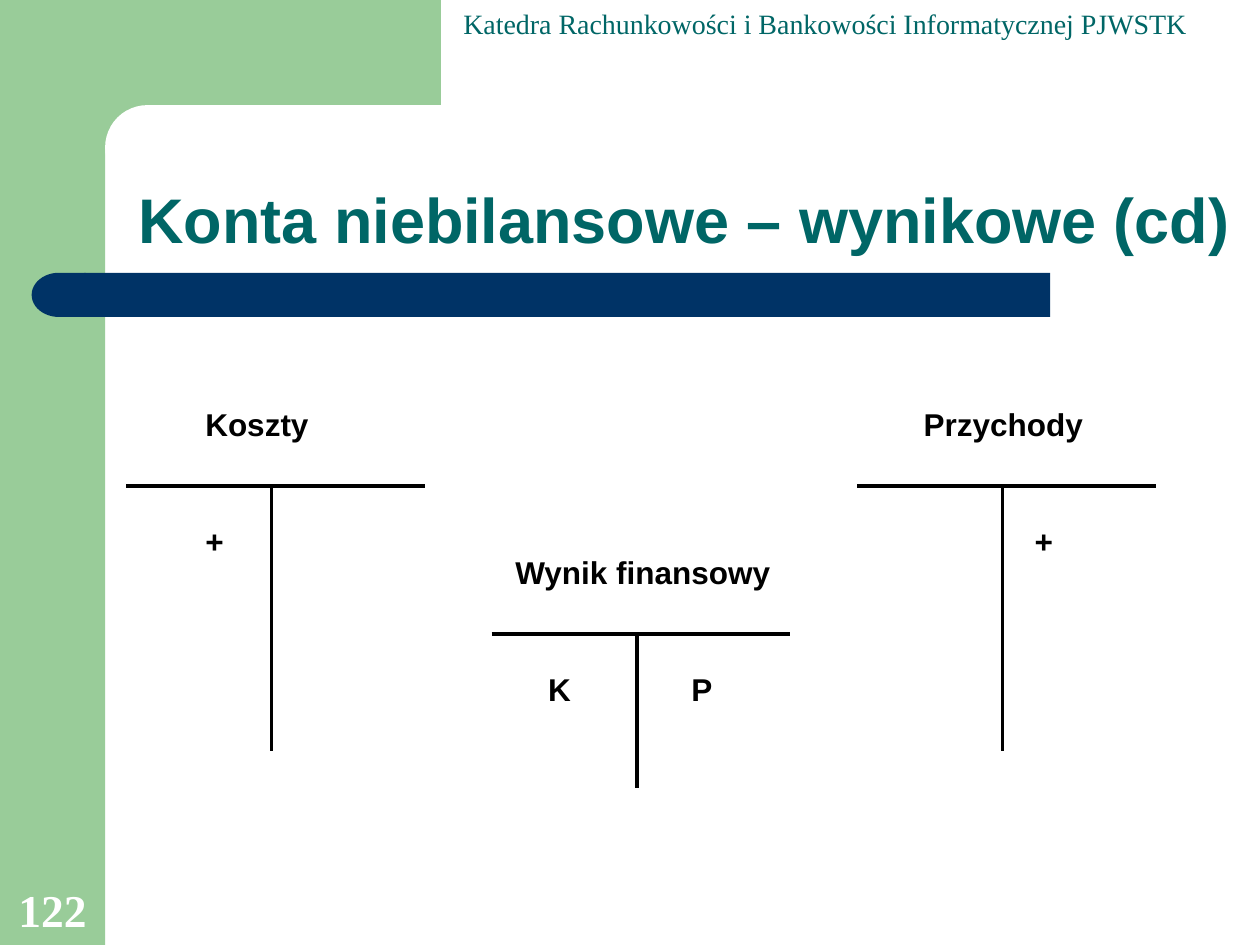
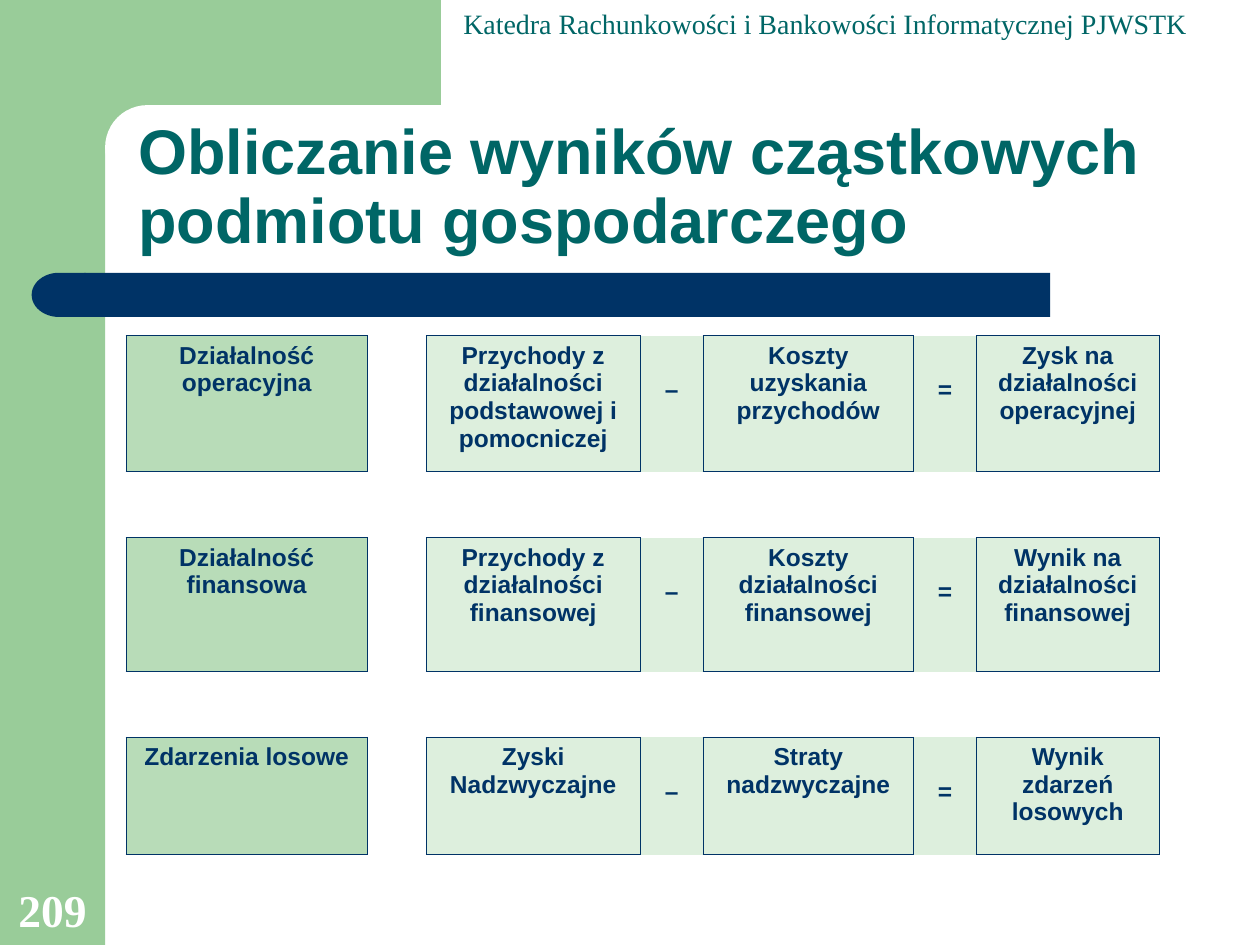
from dataclasses import dataclass

from lxml.etree import SubElement
from pptx import Presentation
from pptx.dml.color import RGBColor
from pptx.enum.shapes import MSO_CONNECTOR, MSO_SHAPE
from pptx.enum.text import MSO_ANCHOR, PP_ALIGN
from pptx.oxml.ns import qn
from pptx.util import Cm, Pt


@dataclass(frozen=True)
class Theme:
    # Colours
    green: str = "99CC99"
    activity: str = "B8DCB8"
    formula: str = "DDEFDD"
    navy: str = "003366"
    teal: str = "006666"
    white: str = "FFFFFF"
    black: str = "000000"
    # Fonts and sizes
    sans: str = "Arial"
    serif: str = "Times New Roman"
    title_size: float = 36
    number_size: float = 26
    account_size: float = 18
    header_size: float = 16
    table_size: float = 14
    line_width: float = 2
    border_width: float = 0.45


class Deck:
    def __init__(self, theme):
        self.theme = theme
        self.presentation = Presentation()
        self.presentation.slide_width = Cm(25.4)
        self.presentation.slide_height = Cm(19.05)
        self.slide = None

    def band(self, left, top, width, height, color, preset=MSO_SHAPE.RECTANGLE):
        band = self.slide.shapes.add_shape(
            preset, Cm(left), Cm(top), Cm(width), Cm(height))
        band.shadow.inherit = False
        band.fill.solid()
        band.fill.fore_color.rgb = RGBColor.from_string(color)
        band.line.fill.background()
        return band

    def format_text(self, frame, size, color, font, bold=True, align=PP_ALIGN.LEFT):
        for paragraph in frame.paragraphs:
            paragraph.alignment = align
            for run in paragraph.runs:
                run.font.size = Pt(size)
                run.font.name = font
                run.font.bold = bold
                run.font.color.rgb = RGBColor.from_string(color)

    def text(self, content, left, top, width, height, size, color, font=None,
             bold=True, align=PP_ALIGN.LEFT, anchor=MSO_ANCHOR.TOP):
        frame = self.slide.shapes.add_textbox(
            Cm(left), Cm(top), Cm(width), Cm(height)).text_frame
        frame.word_wrap = True
        frame.vertical_anchor = anchor
        frame.text = content
        self.format_text(frame, size, color, font or self.theme.sans, bold, align)
        return frame

    def line(self, x1, y1, x2, y2):
        line = self.slide.shapes.add_connector(
            MSO_CONNECTOR.STRAIGHT, Cm(x1), Cm(y1), Cm(x2), Cm(y2))
        line.line.width = Pt(self.theme.line_width)
        line.line.color.rgb = RGBColor.from_string(self.theme.black)
        SubElement(line._element.spPr, qn("a:effectLst"))

    def new_slide(self, title, number):
        theme = self.theme
        self.slide = self.presentation.slides.add_slide(
            self.presentation.slide_layouts[6])
        # Green frame with a rounded inner corner
        self.band(0, 0, 2.12, 19.05, theme.green)
        self.band(1.9, 0, 6.99, 2.96, theme.green)
        corner = self.band(2.12, 2.12, 14.18, 1.7, theme.white,
                           MSO_SHAPE.ROUNDED_RECTANGLE)
        corner.adjustments[0] = 0.5
        # Navy bar with a round left end
        self.band(1.7, 5.5, 19.47, 0.89, theme.navy)
        bar_end = self.band(0.64, 5.5, 1.09, 0.89, theme.navy,
                            MSO_SHAPE.FLOWCHART_DELAY)
        bar_end._element.spPr.find(qn("a:xfrm")).set("flipH", "1")
        # Title, header and slide number
        heading = self.text(title, 2.54, 2.12, 22.86, 3.18, theme.title_size,
                            theme.teal, anchor=MSO_ANCHOR.BOTTOM)
        heading.paragraphs[0].line_spacing = 0.9
        self.text("Katedra Rachunkowości i Bankowości Informatycznej PJWSTK",
                  9.09, 0, 15.44, 0.94, theme.header_size, theme.teal,
                  theme.serif, bold=False)
        self.text(number, 0, 17.63, 2.12, 1.37, theme.number_size, theme.white,
                  theme.serif, align=PP_ALIGN.CENTER, anchor=MSO_ANCHOR.BOTTOM)

    def account(self, left, top, depth, caption, entries):
        """Draw a T account; caption and entries are (text, offset, width)."""
        self.line(left, top, left + 6.02, top)
        self.line(left + 2.93, top, left + 2.93, top + depth)
        labels = [(caption, -1.76)] + [(entry, 0.6) for entry in entries]
        for (content, offset, width), rise in labels:
            self.text(content, left + offset, top + rise, width, 1.02,
                      self.theme.account_size, self.theme.black)

    def border(self, cell, side, visible):
        edge = SubElement(cell._tc.get_or_add_tcPr(), qn(f"a:ln{side}"),
                          w=str(Pt(self.theme.border_width)))
        if visible:
            fill = SubElement(edge, qn("a:solidFill"))
            SubElement(fill, qn("a:srgbClr"), val=self.theme.navy)
        else:
            SubElement(edge, qn("a:noFill"))

    def results_table(self, left, top, widths, heights, results):
        theme = self.theme
        table = self.slide.shapes.add_table(
            len(heights), len(widths), Cm(left), Cm(top),
            Cm(sum(widths)), Cm(sum(heights))).table
        table.first_row = table.horz_banding = False
        for column, width in zip(table.columns, widths):
            column.width = Cm(width)
        for row, height in zip(table.rows, heights):
            row.height = Cm(height)
        # Even rows hold formulas, even columns hold boxes; the rest are gaps
        for r in range(len(heights)):
            for c in range(len(widths)):
                cell = table.cell(r, c)
                for side, visible in zip("LRTB", [r % 2 == 0] * 2 + [c % 2 == 0] * 2):
                    self.border(cell, side, visible)
                if r % 2 or c == 1:
                    cell.fill.background()
                    continue
                activity, income, cost, result = results[r // 2]
                contents = (activity, "", income, "–", cost, "=", result)
                cell.fill.solid()
                cell.fill.fore_color.rgb = RGBColor.from_string(
                    theme.formula if c else theme.activity)
                if c % 2:
                    cell.margin_top = Cm(0.82)
                cell.text_frame.text = contents[c]
                self.format_text(cell.text_frame, theme.table_size, theme.navy,
                                 theme.sans, align=PP_ALIGN.CENTER)


def main():
    deck = Deck(Theme())

    # Profit and loss accounts
    deck.new_slide("Konta niebilansowe – wynikowe (cd)", "122")
    accounts = [
        (9.8, 5.33, ("Koszty", 1.35, 3.78), [("+", 1.35, 1.12)]),
        (12.78, 3.1, ("Wynik finansowy", 0.23, 6.48),
         [("K", 0.89, 1.12), ("P", 3.78, 1.35)]),
        (9.8, 5.33, ("Przychody", 1.09, 4.9), [("+", 3.33, 1.12)]),
    ]
    for position, account in enumerate(accounts):
        deck.account(2.54 + 7.37 * position, *account)

    # Partial results
    deck.new_slide("Obliczanie wyników cząstkowych podmiotu gospodarczego", "209")
    results = [
        ("Działalność operacyjna",
         "Przychody z działalności podstawowej i pomocniczej",
         "Koszty uzyskania przychodów", "Zysk na działalności operacyjnej"),
        ("Działalność finansowa", "Przychody z działalności finansowej",
         "Koszty działalności finansowej", "Wynik na działalności finansowej"),
        ("Zdarzenia losowe", "Zyski Nadzwyczajne",
         "Straty nadzwyczajne", "Wynik zdarzeń losowych"),
    ]
    deck.results_table(2.54, 6.77, [4.87, 1.18, 4.32, 1.26, 4.25, 1.26, 3.69],
                       [2.74, 1.33, 2.7, 1.32, 2.37], results)

    deck.presentation.save("out.pptx")


if __name__ == "__main__":
    main()
